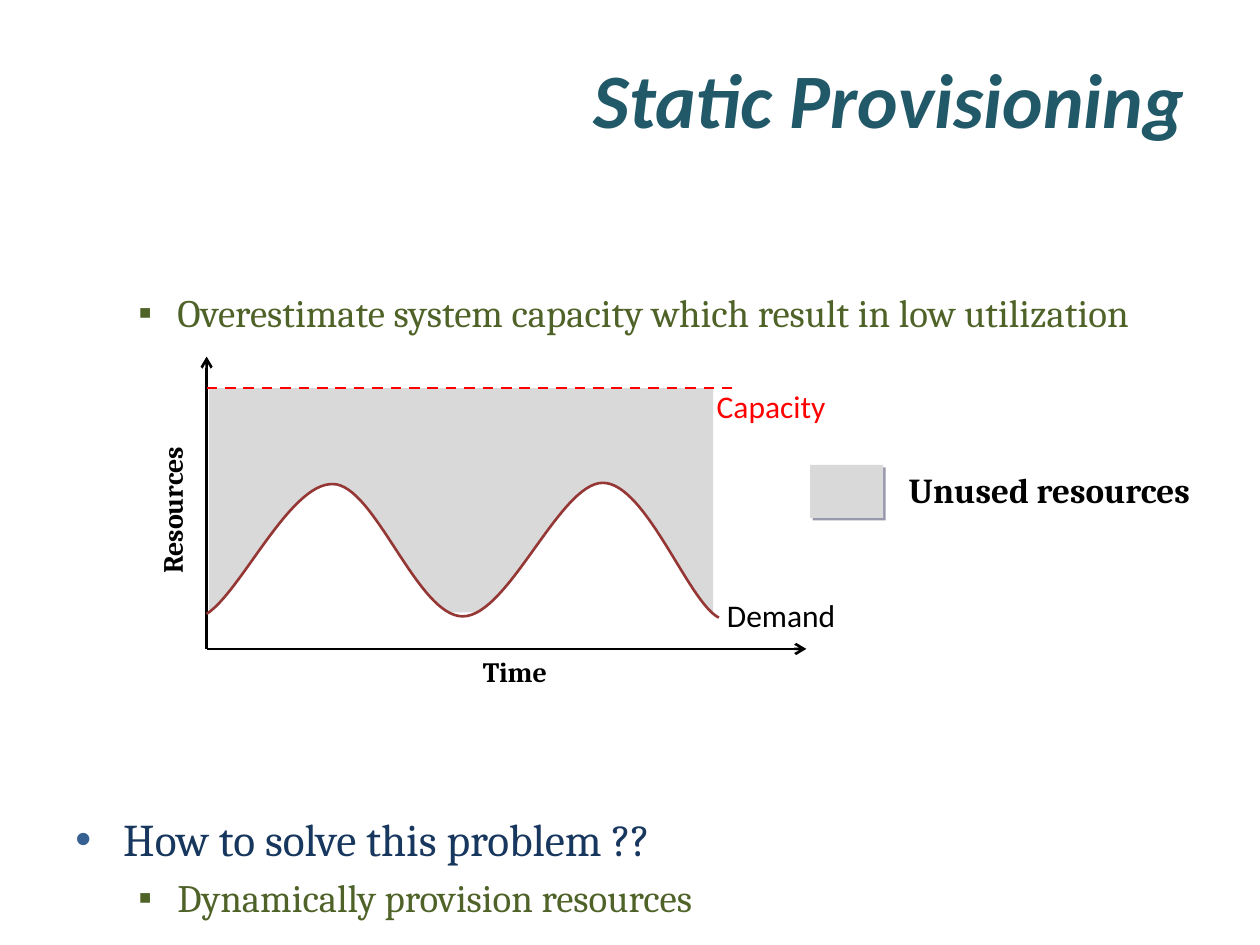
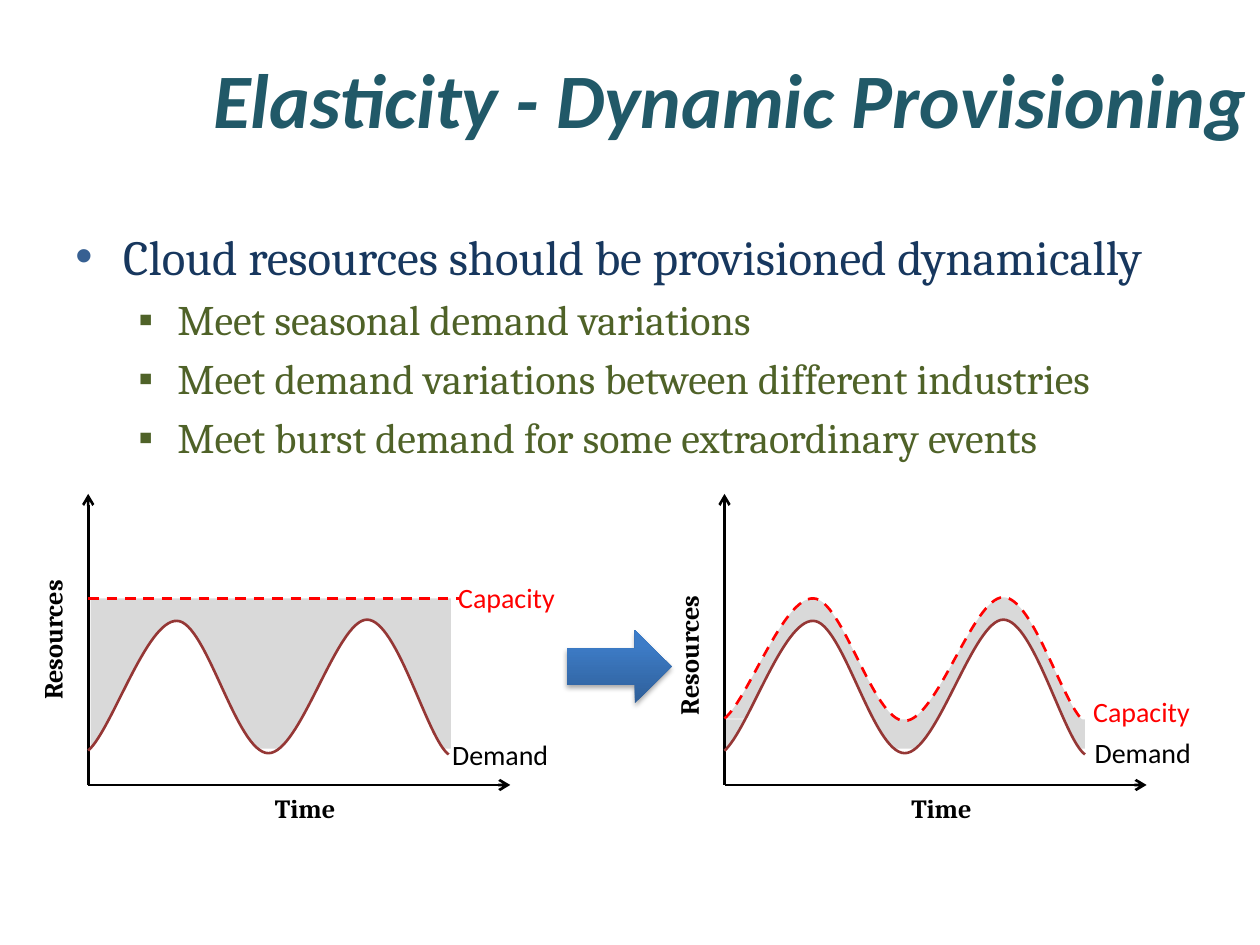
from lxml import etree
from pptx import Presentation
from pptx import util as u
from pptx.dml.color import RGBColor
from pptx.enum import dml, shapes, text
from pptx.oxml.ns import qn

COLORS = {
    "title": "215968", "head": "17375E", "head_bullet": "376092", "sub": "4F6228",
    "black": "000000", "white": "FFFFFF", "unused": "D9D9D9", "demand": "953735",
    "capacity": "FF0000", "box_shadow": "161645",
    "arrow_low": "2F5F99", "arrow_mid": "3D7CC7", "arrow_high": "3A7CCB",
}
HEADING, BODY = "Calibri", "Cambria"
TOP, MIDDLE = text.MSO_ANCHOR.TOP, text.MSO_ANCHOR.MIDDLE

# Bullet levels: left margin, hanging indent, symbol, bullet colour, text colour
LEVELS = [
    (0.38, 0.38, "•", "head_bullet", "head"),
    (0.81, 0.31, "▪", "sub", "sub"),
]

# Two-peak Bezier curve in a box of WAVE_SIZE: start, then three points a segment
WAVE_SIZE = (4.06, 1.07)
WAVE = [
    (0, 1.04),
    (0.27, 0.87), (0.66, 0), (1, 0.01),
    (1.33, 0.01), (1.67, 1.06), (2.03, 1.06),
    (2.39, 1.06), (2.8, 0), (3.14, 0),
    (3.48, 0), (3.82, 0.95), (4.06, 1.07),
]


def rgb(name):
    return RGBColor.from_string(COLORS[name])


def xml_child(parent, tag, **attrs):
    el = etree.SubElement(parent, qn(tag))
    for key, value in attrs.items():
        el.set(key, str(value))
    return el


# ---- text ----
def add_run(p, content, size, font=BODY, color="black", bold=False, italic=False):
    r = p.add_run()
    r.text = content
    r.font.size, r.font.name = u.Pt(size), font
    r.font.bold, r.font.italic = bold, italic
    r.font.color.rgb = rgb(color)


def add_text(slide, box, content, align=text.PP_ALIGN.CENTER, anchor=TOP, wrap=False,
             vertical=False, **fmt):
    tf = slide.shapes.add_textbox(*map(u.Inches, box)).text_frame
    tf.word_wrap = wrap
    tf.vertical_anchor = anchor
    if vertical:
        tf._txBody.bodyPr.set("vert", "vert270")
    p = tf.paragraphs[0]
    p.alignment = align
    add_run(p, content, **fmt)


def add_label(slide, cx, cy, content, size, vertical=False, **fmt):
    w, h = (0.46, 1.16) if vertical else (1.1, 0.1 + size / 60)
    add_text(slide, (cx - w / 2, cy - h / 2, w, h), content, vertical=vertical,
             size=size, **fmt)


def add_title(slide, left, content):
    add_text(slide, (left, 0.3, 9, 0.95), content, align=text.PP_ALIGN.RIGHT,
             anchor=MIDDLE, wrap=True, size=44, font=HEADING, color="title",
             bold=True, italic=True)


def add_body(slide, box, items, top_inset=0.05, gaps=None):
    """Each item is (level, text, size); gaps maps an item's index to points above it."""
    tf = slide.shapes.add_textbox(*map(u.Inches, box)).text_frame
    tf.word_wrap = True
    tf.margin_top = u.Inches(top_inset)
    for i, (level, content, size) in enumerate(items):
        margin, hang, symbol, bullet_color, color = LEVELS[level]
        p = tf.paragraphs[0] if i == 0 else tf.add_paragraph()
        pPr = p._p.get_or_add_pPr()
        pPr.set("marL", str(u.Inches(margin)))
        pPr.set("indent", str(-u.Inches(hang)))
        if gaps and i in gaps:
            p.space_before = u.Pt(gaps[i])
        elif i:
            xml_child(xml_child(pPr, "a:spcBef"), "a:spcPct", val=20000)
        xml_child(xml_child(pPr, "a:buClr"), "a:srgbClr", val=COLORS[bullet_color])
        xml_child(pPr, "a:buFont", typeface="Arial")
        xml_child(pPr, "a:buChar", char=symbol)
        add_run(p, content, size, color=color)


# ---- shapes ----
def style(sp, fill=None, line=None, dash=False):
    sp.shadow.inherit = False
    if fill:
        sp.fill.solid()
        sp.fill.fore_color.rgb = rgb(fill)
    else:
        sp.fill.background()
    if line:
        style_line(sp.line, line, dash)
    else:
        sp.line.fill.background()
    return sp


def style_line(line, color, dash=False):
    line.color.rgb = rgb(color)
    line.width = u.Pt(1.5)
    if dash:
        line.dash_style = dml.MSO_LINE.DASH


def add_shape(slide, kind, box, fill=None):
    return style(slide.shapes.add_shape(kind, *map(u.Inches, box)), fill)


def add_rect(slide, box, fill):
    return add_shape(slide, shapes.MSO_SHAPE.RECTANGLE, box, fill)


def add_shadow(sp, color, alpha, blur, dist, angle):
    effects = sp._element.spPr.find(qn("a:effectLst"))
    shadow = xml_child(effects, "a:outerShdw", blurRad=u.Pt(blur), dist=u.Pt(dist),
                       dir=angle * 60000, rotWithShape=0)
    xml_child(xml_child(shadow, "a:srgbClr", val=COLORS[color]),
              "a:alpha", val=alpha * 1000)


def add_line(slide, x1, y1, x2, y2, color, dash=False, arrow=False):
    cxn = slide.shapes.add_connector(shapes.MSO_CONNECTOR.STRAIGHT,
                                     *map(u.Inches, (x1, y1, x2, y2)))
    style_line(cxn.line, color, dash)
    if arrow:
        xml_child(cxn.line._get_or_add_ln(), "a:tailEnd", type="arrow")
    xml_child(cxn._element.spPr, "a:effectLst")


def add_wave(slide, box, **look):
    x, y, w, h = box
    pts = [(u.Inches(x + px * w / WAVE_SIZE[0]), u.Inches(y + py * h / WAVE_SIZE[1]))
           for px, py in WAVE]
    builder = slide.shapes.build_freeform(*pts[0])
    builder.add_line_segments(pts[1:], close=False)
    sp = style(builder.convert_to_shape(), **look)
    # Turn each three straight steps into one Bezier segment
    outline = next(sp._element.iter(qn("a:path")))
    steps = outline.findall(qn("a:lnTo"))
    for i in range(0, len(steps), 3):
        curve = xml_child(outline, "a:cubicBezTo")
        for step in steps[i:i + 3]:
            curve.append(step[0])
            outline.remove(step)


# ---- demand and capacity diagram ----
def add_plot(slide, box, capacity_y, capacity_at, demand_at, resources_y,
             unused_w=None, label_size=16, axis_size=15):
    """Flat capacity when unused_w is given, else capacity that follows demand.

    Label centres and capacity_y are offsets from the top left of the box.
    """
    x, y, w, h = box
    wave_w = 0.854 * w
    unused_bottom = y + 0.875 * h
    capacity_box = (x, y + capacity_y, wave_w, 0.99)

    # Unused area, later covered by white below the demand curve
    if unused_w:
        top = y + capacity_y
        add_rect(slide, (x + 0.02, top, unused_w, unused_bottom - top), "unused")
    else:
        top = y + 0.775 * h
        add_rect(slide, (x, top, wave_w, unused_bottom - top), "unused")
        add_wave(slide, capacity_box, fill="unused")

    # Axes
    add_line(slide, x, y + h, x, y, "black", arrow=True)
    add_line(slide, x, y + h, x + w, y + h, "black", arrow=True)

    # Curves
    add_wave(slide, (x, y + 0.432 * h, wave_w, 1.07), fill="white", line="demand")
    if unused_w:
        add_line(slide, x, y + capacity_y, x + 0.878 * w, y + capacity_y,
                 "capacity", dash=True)
    else:
        add_wave(slide, capacity_box, line="capacity", dash=True)

    # Labels
    for content, (dx, dy), color in (("Demand", demand_at, "black"),
                                     ("Capacity", capacity_at, "capacity")):
        add_label(slide, x + dx, y + dy, content, label_size, font=HEADING, color=color)
    add_label(slide, x + 0.514 * w, y + h + 0.18, "Time", axis_size, bold=True)
    add_label(slide, x - 0.23, y + resources_y, "Resources", axis_size,
              vertical=True, bold=True)


def add_legend(slide, box):
    x, y, w, h = box
    swatch = add_rect(slide, (x, y + 0.02, 0.58, 0.42), "unused")
    add_shadow(swatch, "box_shadow", alpha=43, blur=0, dist=2, angle=45)
    add_text(slide, (x + 0.65, y, w - 0.65, h), "Unused resources", size=20, bold=True)


def add_change_arrow(slide, box):
    sp = add_shape(slide, shapes.MSO_SHAPE.RIGHT_ARROW, box)
    grad = etree.Element(qn("a:gradFill"), rotWithShape="1")
    stops = xml_child(grad, "a:gsLst")
    for pos, color in ((0, "arrow_low"), (80, "arrow_mid"), (100, "arrow_high")):
        xml_child(xml_child(stops, "a:gs", pos=pos * 1000), "a:srgbClr", val=COLORS[color])
    xml_child(grad, "a:lin", ang=270 * 60000, scaled=0)
    spPr = sp._element.spPr
    spPr.replace(spPr.find(qn("a:noFill")), grad)
    add_shadow(sp, "black", alpha=35, blur=3.1, dist=1.8, angle=90)


# ---- slides ----
def static_slide(slide):
    add_title(slide, 0.5, "Static Provisioning")
    add_body(slide, (0.5, 1.75, 9, 5.42), [
        (1, "Overestimate system capacity which result in low utilization", 22.2),
        (0, "How to solve this problem ??", 25.9),
        (1, "Dynamically provision resources", 22.2),
    ], top_inset=0.54, gaps={1: 272})
    add_plot(slide, (1.64, 2.83, 4.76, 2.32), capacity_y=0.25, capacity_at=(4.48, 0.39),
             demand_at=(4.56, 2.05), resources_y=1.22, unused_w=4,
             label_size=18, axis_size=16)
    add_legend(slide, (6.43, 3.67, 3.15, 0.44))


def dynamic_slide(slide):
    add_title(slide, 1, "Elasticity - Dynamic Provisioning")
    add_body(slide, (0.5, 1.75, 9.17, 2.5), [
        (0, "Cloud resources should be provisioned dynamically", 28),
        (1, "Meet seasonal demand variations", 24),
        (1, "Meet demand variations between different industries", 24),
        (1, "Meet burst demand for some extraordinary events", 24),
    ])
    add_plot(slide, (0.7, 3.92, 3.35, 2.31), capacity_y=0.83, capacity_at=(3.32, 0.82),
             demand_at=(3.27, 2.07), resources_y=1.16, unused_w=2.86)
    add_plot(slide, (5.75, 3.92, 3.35, 2.31), capacity_y=0.82, capacity_at=(3.31, 1.73),
             demand_at=(3.32, 2.05), resources_y=1.28)
    add_change_arrow(slide, (4.5, 5, 0.83, 0.58))


def main():
    prs = Presentation()
    prs.slide_width, prs.slide_height = u.Inches(10), u.Inches(7.5)
    for build in (static_slide, dynamic_slide):
        build(prs.slides.add_slide(prs.slide_layouts[6]))
    prs.save("out.pptx")


if __name__ == "__main__":
    main()
